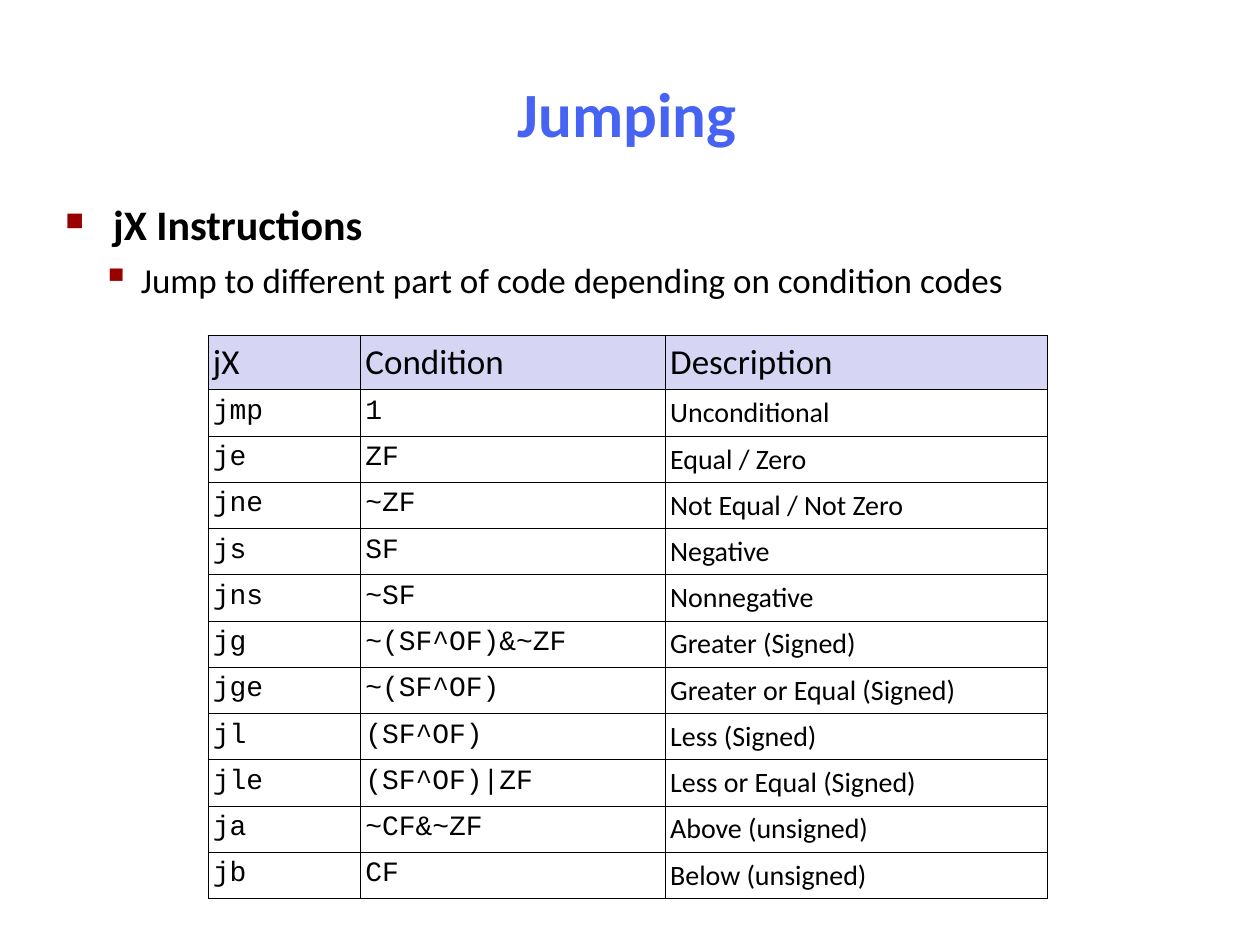
from pptx import Presentation
from pptx.dml.color import RGBColor
from pptx.enum.text import MSO_ANCHOR, PP_ALIGN
from pptx.oxml.ns import qn
from pptx.util import Inches, Pt
from lxml.etree import SubElement


def color(code):
    return RGBColor.from_string(code)


def write(para, text, size=16, font="Calibri", ink="000000", bold=False,
          align=PP_ALIGN.LEFT, before=0):
    para.alignment = align
    para.space_before = Pt(before)
    run = para.add_run()
    run.text = text
    run.font.size = Pt(size)
    run.font.name = font
    run.font.bold = bold
    run.font.color.rgb = color(ink)


class Deck:
    blue, red, black, head = "4763F3", "990000", "000000", "D6D6F4"
    code = "Courier New"

    def __init__(self, slide):
        self.slide = slide

    def title(self, text, x, y, w, h):
        box = self.slide.shapes.title
        box.left, box.top, box.width, box.height = map(Inches, (x, y, w, h))
        frame = box.text_frame
        frame.vertical_anchor = MSO_ANCHOR.MIDDLE
        write(frame.paragraphs[0], text, size=36, ink=self.blue, bold=True,
              align=PP_ALIGN.CENTER)

    def bullet(self, para, mark, scale, left, hang):
        props = para._p.get_or_add_pPr()
        props.set("marL", str(Inches(left)))
        props.set("indent", str(-Inches(hang)))
        tint = SubElement(props, qn("a:buClr"))
        SubElement(tint, qn("a:srgbClr"), val=self.red)
        SubElement(props, qn("a:buSzPct"), val=str(scale * 1000))
        SubElement(props, qn("a:buChar"), char=mark)

    def body(self, items, x, y, w, h):
        box = self.slide.shapes.add_textbox(*map(Inches, (x, y, w, h)))
        frame = box.text_frame
        frame.word_wrap = True
        for i, (text, mark, style) in enumerate(items):
            para = frame.add_paragraph() if i else frame.paragraphs[0]
            para.level = i
            self.bullet(para, *mark)
            write(para, text, **style)

    def cell(self, cell, text, fill=None, **style):
        cell.margin_left = cell.margin_right = Inches(0.04)
        cell.margin_top = cell.margin_bottom = Inches(0.05)
        props = cell._tc.get_or_add_tcPr()
        for side in ("lnL", "lnR", "lnT", "lnB"):
            line = SubElement(props, qn("a:" + side), w=str(Pt(0.45)))
            paint = SubElement(line, qn("a:solidFill"))
            SubElement(paint, qn("a:srgbClr"), val=self.black)
        if fill:
            cell.fill.solid()
            cell.fill.fore_color.rgb = color(fill)
        else:
            cell.fill.background()
        write(cell.text_frame.paragraphs[0], text, **style)

    def table(self, rows, x, y, widths, tall, high):
        heights = [tall] + [high] * (len(rows) - 1)
        size = (x, y, sum(widths), sum(heights))
        grid = self.slide.shapes.add_table(
            len(rows), len(widths), *map(Inches, size)).table
        for col, width in zip(grid.columns, widths):
            col.width = Inches(width)
        for r, (row, height) in enumerate(zip(rows, heights)):
            grid.rows[r].height = Inches(height)
            for c, text in enumerate(row):
                if r == 0:
                    style = dict(fill=self.head, size=20)
                else:
                    style = dict(font="Calibri" if c == 2 else self.code)
                self.cell(grid.cell(r, c), text, **style)


def main():
    show = Presentation()
    show.slide_width, show.slide_height = Inches(10), Inches(7.5)
    deck = Deck(show.slides.add_slide(show.slide_layouts[5]))

    # Heading and bullets
    deck.title("Jumping", 0.39, 0.48, 9.17, 0.83)
    deck.body([
        ("jX Instructions", ("■", 60, 0.38, 0.38), dict(size=24, bold=True)),
        ("Jump to different part of code depending on condition codes",
         ("▪", 110, 0.6, 0.31), dict(size=20, before=5)),
    ], 0.42, 1.53, 9.17, 0.94)

    # Jump instructions
    deck.table([
        ("jX", "Condition", "Description"),
        ("jmp", "1", "Unconditional"),
        ("je", "ZF", "Equal / Zero"),
        ("jne", "~ZF", "Not Equal / Not Zero"),
        ("js", "SF", "Negative"),
        ("jns", "~SF", "Nonnegative"),
        ("jg", "~(SF^OF)&~ZF", "Greater (Signed)"),
        ("jge", "~(SF^OF)", "Greater or Equal (Signed)"),
        ("jl", "(SF^OF)", "Less (Signed)"),
        ("jle", "(SF^OF)|ZF", "Less or Equal (Signed)"),
        ("ja", "~CF&~ZF", "Above (unsigned)"),
        ("jb", "CF", "Below (unsigned)"),
    ], 1.65, 2.66, (1.21, 2.42, 3.03), tall=0.42, high=0.35)

    show.save("out.pptx")


if __name__ == "__main__":
    main()
